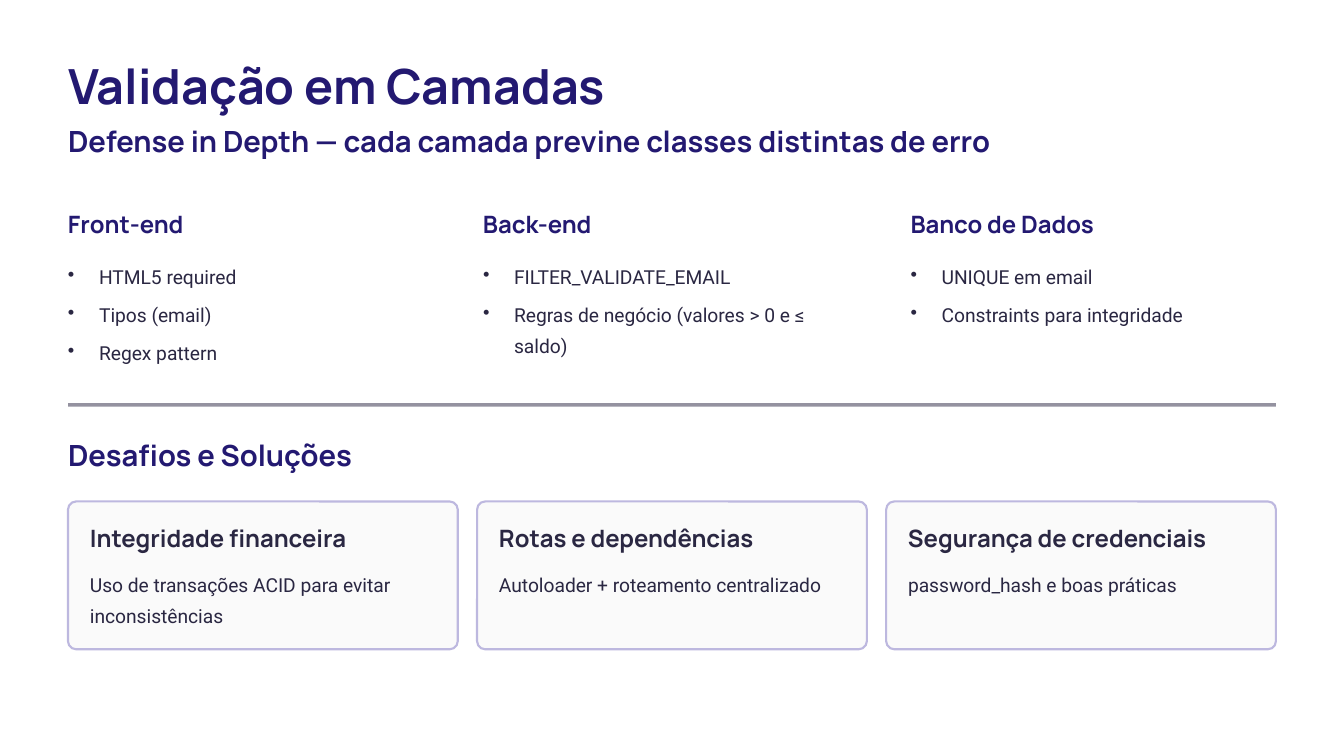
from lxml import etree
from pptx import Presentation
from pptx.dml.color import RGBColor
from pptx.enum import shapes, text
from pptx.oxml.ns import qn
from pptx.util import Inches, Pt

INDIGO = RGBColor(0x23, 0x19, 0x71)
INK = RGBColor(0x2A, 0x27, 0x42)
LILAC = RGBColor(0xBD, 0xB8, 0xDF)
PAPER = RGBColor(0xFA, 0xFA, 0xFA)

LEFT = 0.81
CONTENT_WIDTH = 14.38
TITLE = dict(size=41.5, leading=52, font="Manrope", color=INDIGO, bold=True)
SUBTITLE = dict(TITLE, size=25, leading=31)
LAYER_HEADING = dict(TITLE, size=20.5, leading=26)
CARD_HEADING = dict(LAYER_HEADING, color=INK)
BODY = dict(size=16.5, leading=26.5, font="Roboto", color=INK, wrap=True)

deck = Presentation()
deck.slide_width, deck.slide_height = Inches(16), Inches(9)
slide = deck.slides.add_slide(deck.slide_layouts[6])


def write(content, left, top, width, height, *, size, leading, font, color,
          bold=False, wrap=False, bullets=False):
    box = slide.shapes.add_textbox(Inches(left), Inches(top), Inches(width), Inches(height))
    frame = box.text_frame
    frame.margin_left = frame.margin_right = frame.margin_top = frame.margin_bottom = 0
    frame.word_wrap = wrap
    frame.auto_size = text.MSO_AUTO_SIZE.NONE
    frame.text = content
    for index, paragraph in enumerate(frame.paragraphs):
        paragraph.line_spacing = Pt(leading)
        if bullets:
            if index:
                paragraph.space_before = Pt(5.9)
            properties = paragraph._p.get_or_add_pPr()
            properties.set("marL", str(Inches(0.37)))
            properties.set("indent", str(-Inches(0.37)))
            etree.SubElement(properties, qn("a:buChar")).set("char", "•")
        run_font = paragraph.runs[0].font
        run_font.size, run_font.name, run_font.bold = Pt(size), font, bold
        run_font.color.rgb = color


def panel(kind, left, top, width, height, color, opacity):
    shape = slide.shapes.add_shape(kind, Inches(left), Inches(top), Inches(width), Inches(height))
    shape.shadow.inherit = False
    shape.fill.solid()
    shape.fill.fore_color.rgb = color
    tint = shape._element.spPr.find(qn("a:solidFill"))[0]
    etree.SubElement(tint, qn("a:alpha")).set("val", str(opacity * 1000))
    shape.line.fill.background()
    return shape


write("Validação em Camadas", LEFT, 0.64, 6.32, 0.72, **TITLE)
write("Defense in Depth — cada camada previne classes distintas de erro",
      LEFT, 1.46, 10.62, 0.43, **SUBTITLE)

layers = [
    (LEFT, 4.37, "Front-end", ["HTML5 required", "Tipos (email)", "Regex pattern"]),
    (5.75, 4.52, "Back-end",
     ["FILTER_VALIDATE_EMAIL", "Regras de negócio (valores > 0 e ≤ saldo)"]),
    (10.84, 4.37, "Banco de Dados", ["UNIQUE em email", "Constraints para integridade"]),
]
for left, width, layer, checks in layers:
    write(layer, left, 2.48, 2.9, 0.36, **LAYER_HEADING)
    write("\n".join(checks), left, 3.07, width, 1.27, bullets=True, **BODY)

panel(shapes.MSO_SHAPE.RECTANGLE, LEFT, 4.8, CONTENT_WIDTH, 0.04, INK, 50)
write("Desafios e Soluções", LEFT, 5.19, 3.48, 0.43, **SUBTITLE)

CARD_WIDTH, CARD_PITCH, CARD_PADDING = 4.64, 4.87, 0.26
solutions = [
    ("Integridade financeira", 3.05, "Uso de transações ACID para evitar inconsistências"),
    ("Rotas e dependências", 2.92, "Autoloader + roteamento centralizado"),
    ("Segurança de credenciais", 3.43, "password_hash e boas práticas"),
]
for column, (challenge, heading_width, solution) in enumerate(solutions):
    left = LEFT + column * CARD_PITCH
    card = panel(shapes.MSO_SHAPE.ROUNDED_RECTANGLE, left, 5.97, CARD_WIDTH, 1.76, PAPER, 95)
    card.adjustments[0] = 0.055
    card.line.color.rgb = LILAC
    card.line.width = Pt(1.8)
    inner = left + CARD_PADDING
    write(challenge, inner, 6.22, heading_width, 0.36, **CARD_HEADING)
    write(solution, inner, 6.73, CARD_WIDTH - 2 * CARD_PADDING, 0.74, **BODY)

deck.save("out.pptx")
